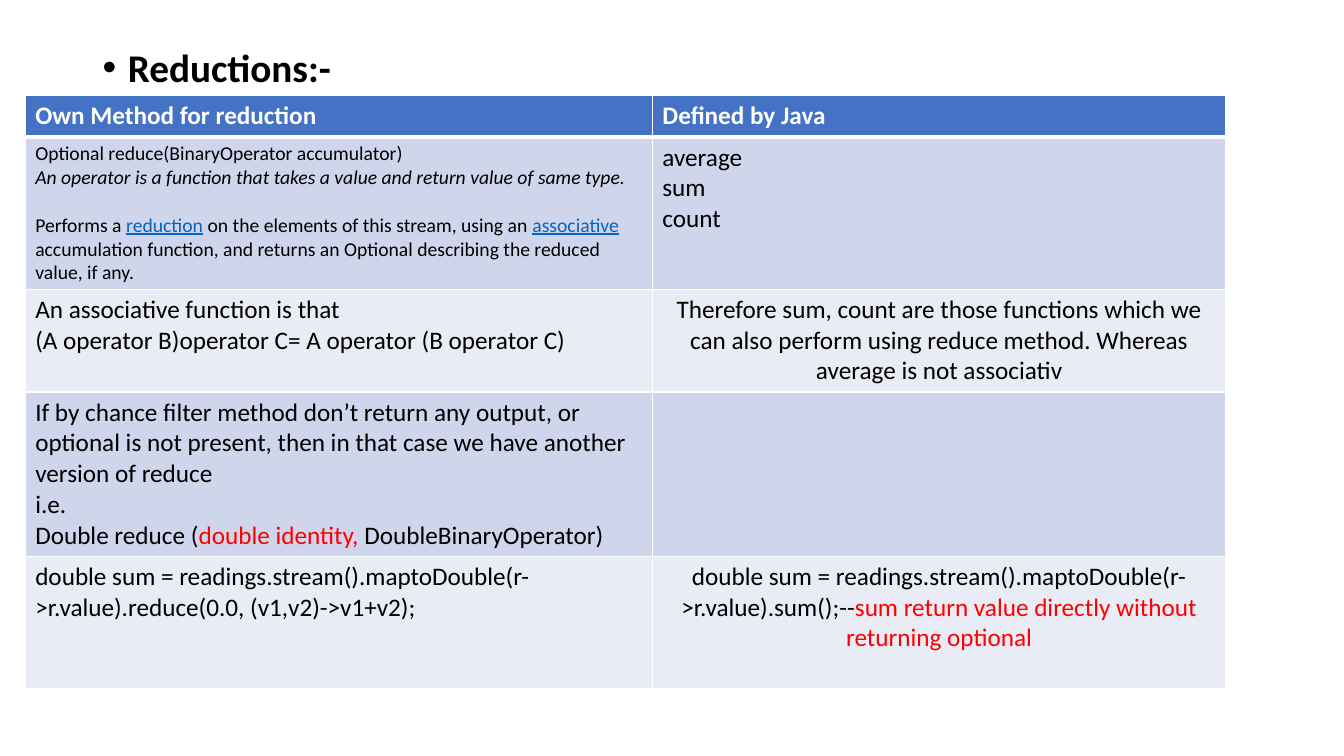
from lxml.etree import SubElement as Sub
from pptx import Presentation
from pptx.dml.color import RGBColor as Rgb
from pptx.enum.text import PP_ALIGN as Align
from pptx.oxml.ns import qn
from pptx.util import Inches, Pt

HUES = {"ink": "000000", "white": "FFFFFF", "head": "4472C4", "dark": "CFD5EA",
        "light": "E9EBF5", "link": "0563C1", "red": "FF0000"}
FONT = "Calibri"


def add_run(para, text, size, hue="ink", bold=False, slant=False):
    run = para.add_run()
    run.text = text
    font = run.font
    font.name, font.size, font.bold, font.italic = FONT, Pt(size), bold, slant
    font.underline = hue == "link"
    font.color.rgb = Rgb.from_string(HUES[hue])


def add_edge(cell, side, width):
    """Draw one white border; call before the cell is filled."""
    line = Sub(cell._tc.get_or_add_tcPr(), qn(f"a:ln{side}"), w=str(Pt(width)))
    Sub(Sub(line, qn("a:solidFill")), qn("a:srgbClr"), val=HUES["white"])


deck = Presentation()
deck.slide_width, deck.slide_height = Inches(13.33), Inches(7.5)
slide = deck.slides.add_slide(deck.slide_layouts[6])

# Heading with a bullet
box = slide.shapes.add_textbox(Inches(0.92), Inches(0.43), Inches(11.5), Inches(0.52))
box.text_frame.word_wrap = True
title = box.text_frame.paragraphs[0]
title.line_spacing, title.space_before = 0.9, Pt(10)
add_run(title, "Reductions:-", 28, bold=True)
props = title._p.get_or_add_pPr()
props.set("marL", str(Inches(0.25)))
props.set("indent", str(-Inches(0.25)))
Sub(props, qn("a:buFont"), typeface="Arial")
Sub(props, qn("a:buChar"), char="•")

# Each cell is a list of paragraphs, each paragraph a list of (text, hue) runs
ROWS = [
    [[[("Own Method for reduction", "white")]],
     [[("Defined by Java", "white")]]],
    [[[("Optional reduce(BinaryOperator accumulator)", "ink")],
      [("An operator is a function that takes a value and return value of same type.", "ink")],
      [("Performs a ", "ink"), ("reduction", "link"),
       (" on the elements of this stream, using an ", "ink"), ("associative", "link"),
       (" accumulation function, and returns an Optional describing the reduced value, if any.",
        "ink")]],
     [[("average", "ink")], [("sum", "ink")], [("count", "ink")]]],
    [[[("An associative function is that ", "ink")],
      [("(A operator B)operator C= A operator (B operator C)", "ink")]],
     [[("Therefore sum, count are those functions which we can also perform using reduce "
        "method. Whereas average is not associativ", "ink")]]],
    [[[("If by chance filter method don’t return any output, or optional is not present, "
        "then in that case we have another version of reduce", "ink")],
      [("i.e. ", "ink")],
      [("Double reduce (", "ink"), ("double identity, ", "red"),
       ("DoubleBinaryOperator)", "ink")]],
     []],
    [[[("double sum = readings.stream().maptoDouble(r->r.value)"
        ".reduce(0.0, (v1,v2)->v1+v2);", "ink")]],
     [[("double sum = readings.stream().maptoDouble(r->r.value).sum();--", "ink"),
       ("sum return value directly without returning optional", "red")]]],
]
WIDE = [6.22, 5.69]
HIGH = [0.41, 1.51, 1.02, 1.63, 1.31]

grid = slide.shapes.add_table(len(HIGH), len(WIDE), Inches(0.25), Inches(0.95),
                              Inches(sum(WIDE)), Inches(sum(HIGH))).table
for col, wide in zip(grid.columns, WIDE):
    col.width = Inches(wide)

for r, (row, high) in enumerate(zip(ROWS, HIGH)):
    grid.rows[r].height = Inches(high)
    tint = "head" if r == 0 else "dark" if r % 2 else "light"
    for c, paras in enumerate(row):
        cell = grid.cell(r, c)
        for side in "LRTB":
            thick = (r, side) in [(0, "B"), (1, "T")]
            add_edge(cell, side, 3 if thick else 1)
        cell.fill.solid()
        cell.fill.fore_color.rgb = Rgb.from_string(HUES[tint])
        small = (r, c) == (1, 0)
        frame = cell.text_frame
        for n, runs in enumerate(paras):
            para = frame.add_paragraph() if n else frame.paragraphs[0]
            para.alignment = Align.CENTER if c == 1 and r > 1 else Align.LEFT
            if small and n == 2:
                para.space_before = Pt(17)
            for text, hue in runs:
                add_run(para, text, 14 if small else 18, hue,
                        bold=r == 0, slant=small and n == 1)

deck.save("out.pptx")
